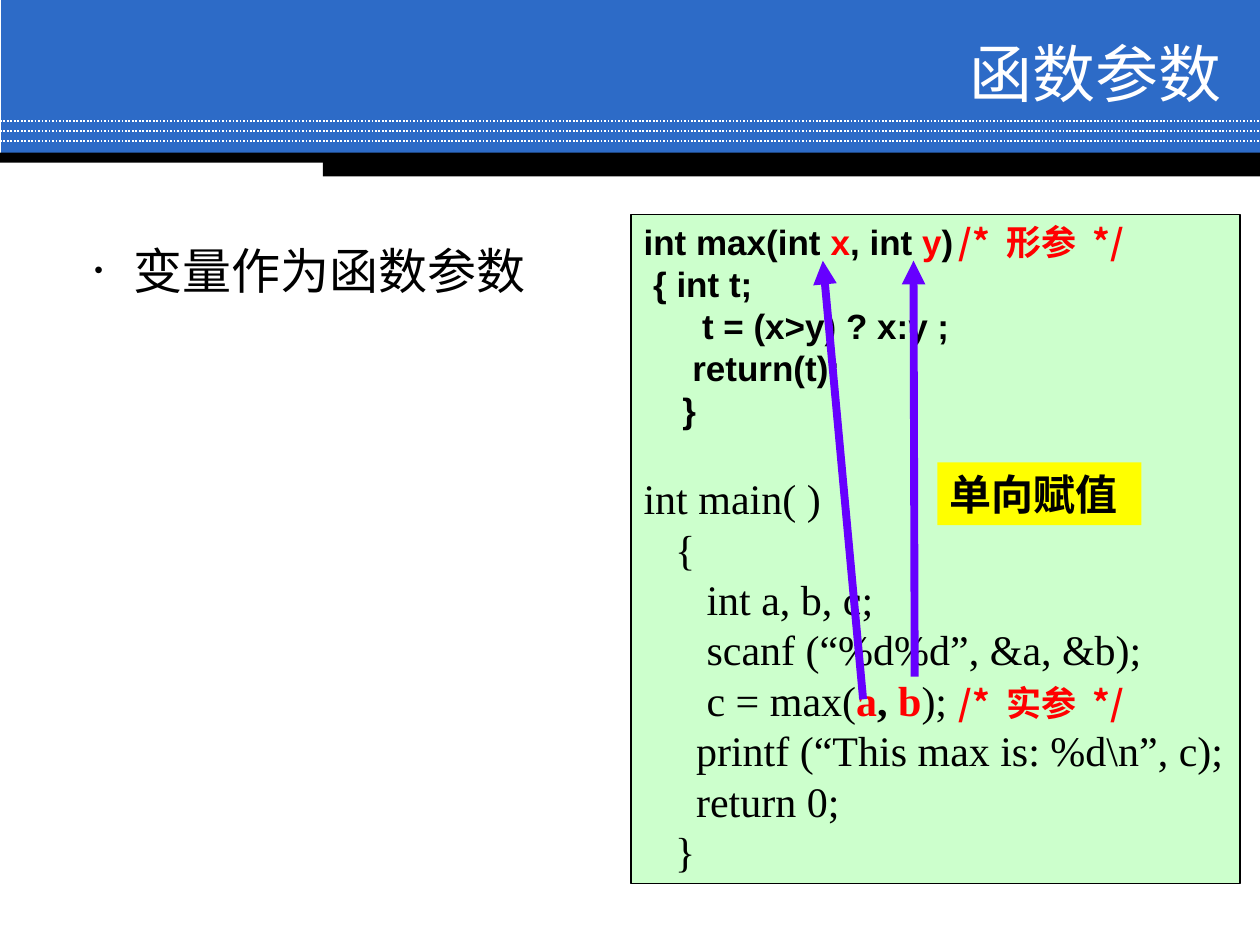
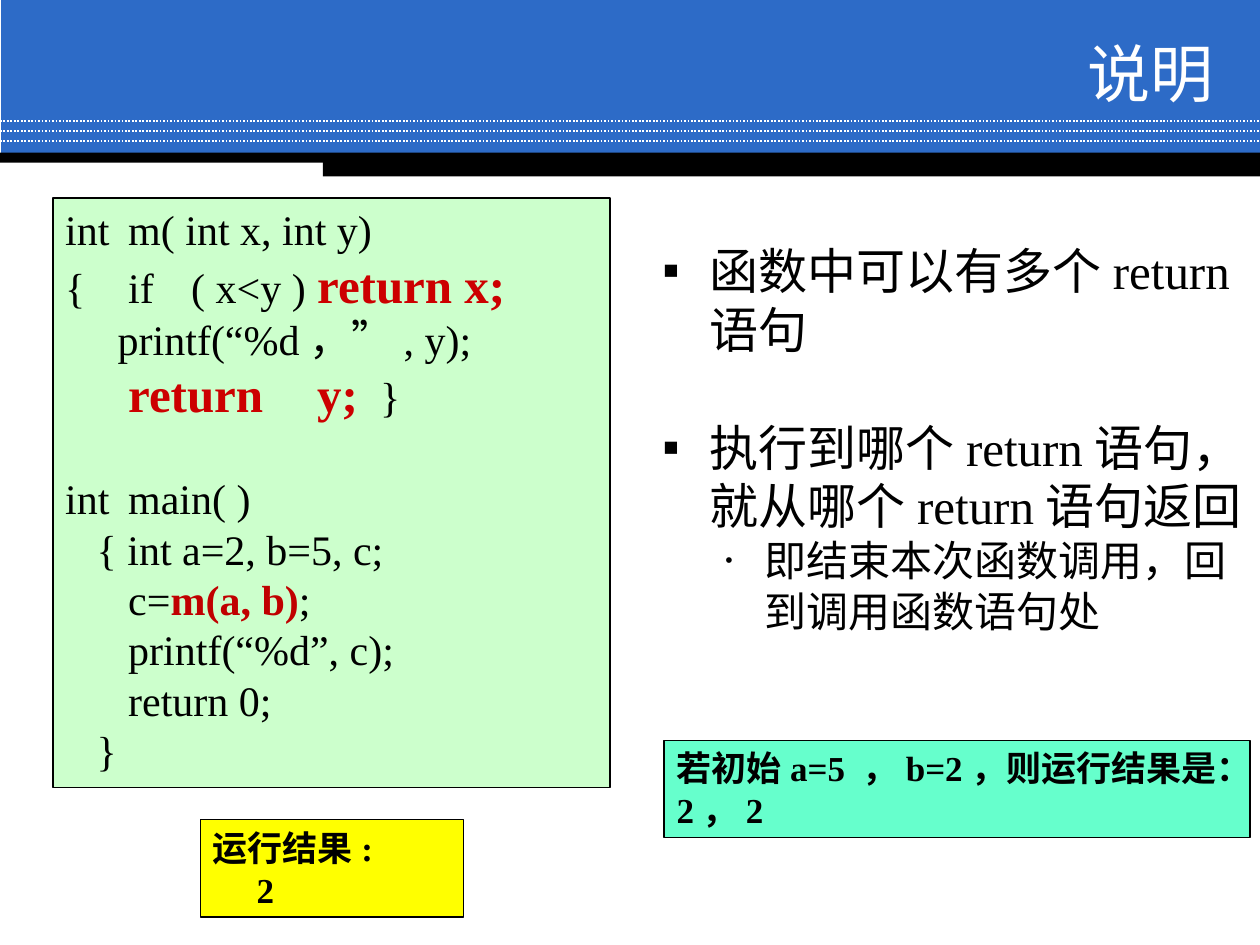
import pptx
import pptx.util
import pptx.dml.color
import pptx.enum.dml
import pptx.enum.shapes
import pptx.enum.text
import pptx.oxml.ns
from lxml import etree

Pt = pptx.util.Pt
qn = pptx.oxml.ns.qn
PP_ALIGN = pptx.enum.text.PP_ALIGN
ANCHOR = pptx.enum.text.MSO_ANCHOR

COLORS = {"blue": "2D6BC7", "white": "FFFFFF", "black": "000000",
          "code": "CCFFCC", "yellow": "FFFF00", "mint": "66FFCC",
          "violet": "6600FF", "red": "FF0000", "dark red": "CC0000",
          "call red": "C00000"}
ARIAL, TIMES, CJK = "Arial", "Times New Roman", "Noto Sans CJK SC"
LINE_PITCH = 1.2  # line height as a multiple of the text size


def style(name, size, bold=False, color="black"):
    return {"name": name, "size": size, "bold": bold, "color": color}


TITLE = style(CJK, 36, color="white")
BODY = style(TIMES, 28)
SUB = style(TIMES, 24)
HEAD = style(ARIAL, 20, True)
HEAD_RED = style(ARIAL, 20, True, "red")
REMARK = style(CJK, 20, True, "red")
CODE = style(TIMES, 24)
CODE_BOLD = style(TIMES, 24, True)
CODE_RED = style(TIMES, 24, True, "red")
CALL = style(TIMES, 24, True, "call red")
RETURN = style(TIMES, 28, True, "dark red")
LABEL = style(ARIAL, 24, True)
RESULT = style(TIMES, 20, True)


def rgb(key):
    return pptx.dml.color.RGBColor.from_string(COLORS[key])


def para(*runs, indent=0, hang=0, before=0, tabs=(), bullet=None, scale=100):
    """Describe one paragraph; runs are (text, style) pairs."""
    return {"runs": runs, "indent": indent, "hang": hang, "before": before,
            "tabs": tabs, "bullet": bullet, "scale": scale}


def point(text, **extra):
    return para((text, BODY), indent=27, hang=27, bullet="▪", **extra)


def subpoint(text, fmt):
    return para((text, fmt), indent=58.5, hang=22.5, bullet="•", scale=50)


class Deck:
    def __init__(self):
        self.prs = pptx.Presentation()
        self.prs.slide_width, self.prs.slide_height = Pt(720), Pt(540)
        self.s = None

    def slide(self, title, title_left):
        self.s = self.prs.slides.add_slide(self.prs.slide_layouts[6])
        # Blue band with dotted rules, black bars below
        self.rect((0.7, 0, 719.3, 88.5), "blue")
        for i in range(3):
            y = 69.2 + 5.75 * i
            self.line((0, y), (720, y), "white", 1, dotted=True)
        self.rect((0, 87.2, 720, 5.8), "black")
        self.rect((184.5, 89.3, 535.5, 11.5), "black")
        self.text((title_left, 20.5, 498.2, 42), [para((title, TITLE))],
                  align=PP_ALIGN.RIGHT, anchor=ANCHOR.MIDDLE)

    def rect(self, box, fill, line=None, paras=()):
        sp = self.s.shapes.add_shape(pptx.enum.shapes.MSO_SHAPE.RECTANGLE,
                                     *map(Pt, box))
        sp.shadow.inherit = False
        sp.fill.solid()
        sp.fill.fore_color.rgb = rgb(fill)
        if line:
            sp.line.color.rgb = rgb("black")
            sp.line.width = Pt(line)
        else:
            sp.line.fill.background()
        if paras:
            self.fill_text(sp.text_frame, paras, margin_right=Pt(2))

    def text(self, box, paras, align=PP_ALIGN.LEFT, anchor=ANCHOR.TOP):
        sp = self.s.shapes.add_textbox(*map(Pt, box))
        self.fill_text(sp.text_frame, paras, align, vertical_anchor=anchor)

    def fill_text(self, tf, paras, align=PP_ALIGN.LEFT, **frame):
        frame = {"word_wrap": True, "vertical_anchor": ANCHOR.TOP, **frame}
        for key, value in frame.items():
            setattr(tf, key, value)
        for i, spec_ in enumerate(paras):
            p = tf.add_paragraph() if i else tf.paragraphs[0]
            size = max(fmt["size"] for _, fmt in spec_["runs"])
            layout = {"alignment": align, "space_before": Pt(spec_["before"]),
                      "line_spacing": Pt(LINE_PITCH * size)}
            for key, value in layout.items():
                setattr(p, key, value)
            self.indent(p, spec_)
            for text, fmt in spec_["runs"]:
                self.run(p, text, fmt)

    def indent(self, p, item):
        # Margin, bullet and tab stops
        pPr = p._p.get_or_add_pPr()
        pPr.set("marL", str(int(Pt(item["indent"]))))
        pPr.set("indent", str(-int(Pt(item["hang"]))))
        if item["bullet"]:
            etree.SubElement(pPr, qn("a:buSzPct"),
                             val=str(item["scale"] * 1000))
            etree.SubElement(pPr, qn("a:buFont"), typeface=ARIAL)
            etree.SubElement(pPr, qn("a:buChar"), char=item["bullet"])
        else:
            etree.SubElement(pPr, qn("a:buNone"))
        if item["tabs"]:
            stops = etree.SubElement(pPr, qn("a:tabLst"))
            for stop in item["tabs"]:
                etree.SubElement(stops, qn("a:tab"), pos=str(int(Pt(stop))),
                                 algn="l")

    def run(self, p, text, fmt):
        r = p.add_run()
        r.text = text
        values = {"name": fmt["name"], "size": Pt(fmt["size"]),
                  "bold": fmt["bold"]}
        for key, value in values.items():
            setattr(r.font, key, value)
        r.font.color.rgb = rgb(fmt["color"])
        ea = etree.Element(qn("a:ea"), typeface=CJK)
        r.font._element.find(qn("a:latin")).addnext(ea)

    def line(self, start, end, color, width, dotted=False, arrow=False):
        c = self.s.shapes.add_connector(
            pptx.enum.shapes.MSO_CONNECTOR.STRAIGHT, *map(Pt, start + end))
        c.line.color.rgb = rgb(color)
        c.line.width = Pt(width)
        if dotted:
            c.line.dash_style = pptx.enum.dml.MSO_LINE.ROUND_DOT
        if arrow:
            etree.SubElement(c.line._get_or_add_ln(), qn("a:tailEnd"),
                             type="triangle")
        etree.SubElement(c._element.spPr, qn("a:effectLst"))


def parameters_slide(d):
    d.slide("函数参数", 206.6)
    d.text((10.8, 134, 354.2, 327), [subpoint("变量作为函数参数", BODY)])

    # Function and its caller
    d.rect((360.7, 122.5, 347.8, 382.3), "code", 1, [
        para(("int max(int ", HEAD), ("x", HEAD_RED), (", int ", HEAD),
             ("y", HEAD_RED), (")\t", HEAD), ("/* 形参 */", REMARK),
             tabs=[205]),
        para(("{ int t;", HEAD), indent=5.5),
        para(("t = (x>y) ? x:y ;", HEAD), indent=33.4),
        para(("return(t);", HEAD), indent=27.8),
        para(("}", HEAD), indent=22.2),
        para(("int main( )", CODE), before=24),
        para(("{", CODE), indent=18),
        para(("int a, b, c;", CODE), indent=36),
        para(("scanf (“%d%d”, &a, &b);", CODE), indent=36),
        para(("\tc = max(", CODE), ("a", CODE_RED), (", ", CODE_BOLD),
             ("b", CODE_RED), (");\t", CODE), ("/* 实参 */", REMARK),
             tabs=[36, 191]),
        para(("printf (“This max is: %d\\n”, c);", CODE), indent=30),
        para(("return 0;", CODE), indent=30),
        para(("}", CODE), indent=18)])

    # Arguments passed to parameters
    for start, end in (((522.7, 386.6), (522, 149)),
                       ((493.2, 399.6), (470.2, 149))):
        d.line(start, end, "violet", 4.5, arrow=True)
    d.rect((535.7, 264.2, 116.6, 36), "yellow",
           paras=[para(("单向赋值", LABEL))])


def return_slide(d):
    d.slide("说明", 202.3)
    d.text((371.5, 134, 348.5, 238.3), [
        point("函数中可以有多个return语句"),
        point("执行到哪个return语句，就从哪个return语句返回", before=33.6),
        subpoint("即结束本次函数调用，回到调用函数语句处", SUB)])

    # Code with two return statements
    d.rect((30.2, 113, 318.3, 337), "code", 1, [
        para(("int\tm( int x, int y)", CODE), tabs=[43]),
        para(("{\tif\t( x<y )\t", CODE), ("return x;", RETURN),
             tabs=[24, 50, 134]),
        para(("printf(“%d，”, y);", CODE), indent=30),
        para(("\treturn\ty;\t", RETURN), ("}", CODE), tabs=[30, 121, 166]),
        para(("int\tmain( )", CODE), before=28.8, tabs=[37.5]),
        para(("{ int a=2, b=5, c;", CODE), indent=18),
        para(("c=", CODE), ("m(a, b)", CALL), (";", CODE), indent=36),
        para(("printf(“%d”, c);", CODE), indent=36),
        para(("return 0;", CODE), indent=36),
        para(("}", CODE), indent=18)])

    # Results
    d.rect((114.5, 468.5, 150.5, 55.5), "yellow", 0.75, [
        para(("运行结果:", RESULT)), para(("2", RESULT), indent=25)])
    d.rect((379.5, 423.3, 334.8, 55.5), "mint", 0.75, [
        para(("若初始a=5 ，b=2，则运行结果是：", RESULT)),
        para(("2，2", RESULT))])


def main():
    d = Deck()
    parameters_slide(d)
    return_slide(d)
    d.prs.save("out.pptx")


if __name__ == "__main__":
    main()
